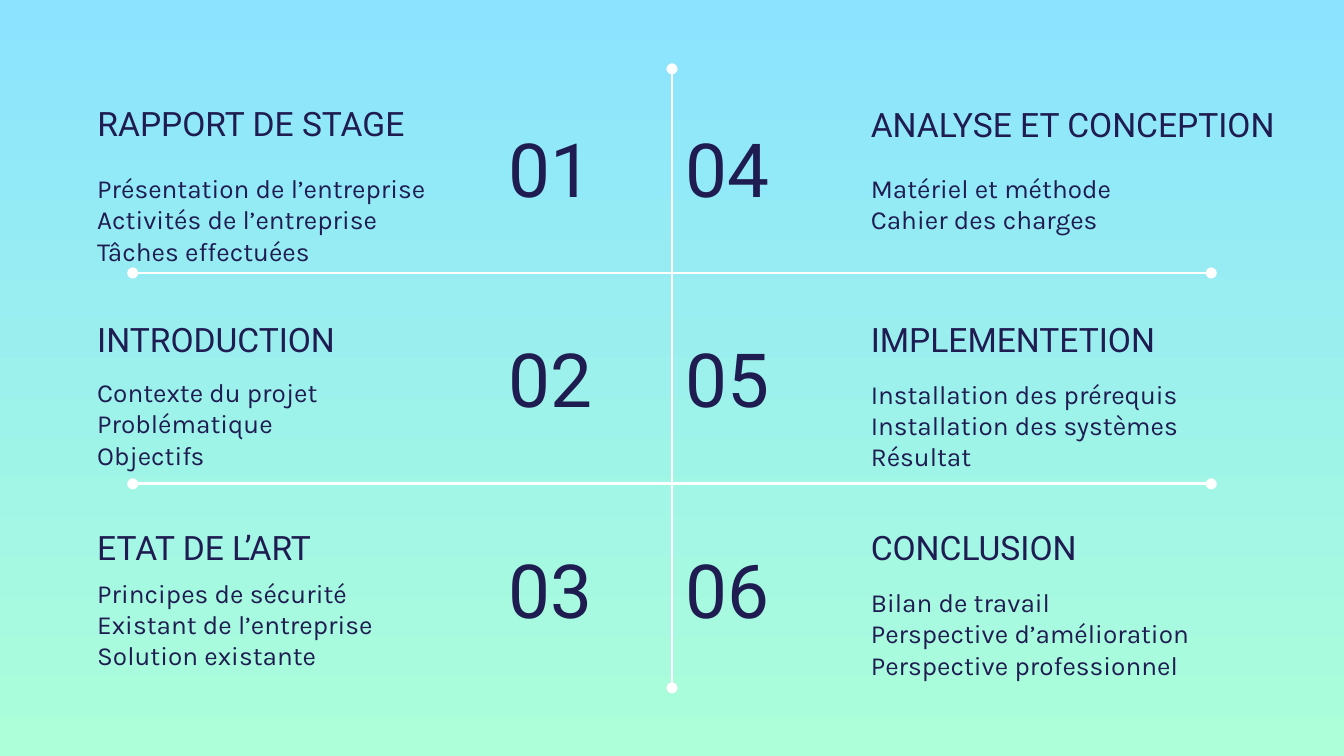
from lxml import etree
from pptx import Presentation
from pptx import util as u
from pptx.dml.color import RGBColor
from pptx.enum import shapes, text
from pptx.oxml import ns

PX = 5715
NAVY = "1F1C51"
WHITE = "FFFFFF"
ROW_TOP, ROW_STEP = 74, 251
NUMBER_WIDTH, TEXT_WIDTH = 208, 477

COLUMNS = [
    {
        "number_left": 590,
        "text_left": 100,
        "sections": [
            ("RAPPORT DE STAGE", TEXT_WIDTH, 33, 115, 138,
             ["Présentation de l’entreprise", "Activités de l’entreprise", "Tâches effectuées"]),
            ("INTRODUCTION", TEXT_WIDTH, 39, 107, 138,
             ["Contexte du projet", "Problématique", "Objectifs"]),
            ("ETAT DE L’ART", TEXT_WIDTH, 35, 95, 147,
             ["Principes de sécurité", "Existant de l’entreprise", "Solution existante"]),
        ],
    },
    {
        "number_left": 800,
        "text_left": 1021,
        "sections": [
            ("ANALYSE ET CONCEPTION", 542, 34, 115, 110,
             ["Matériel et méthode", "Cahier des charges"]),
            ("IMPLEMENTETION", TEXT_WIDTH, 39, 109, 125,
             ["Installation des prérequis", "Installation des systèmes", "Résultat"]),
            ("CONCLUSION", TEXT_WIDTH, 35, 106, 138,
             ["Bilan de travail", "Perspective d’amélioration", "Perspective professionnel"]),
        ],
    },
]


def px(length):
    return u.Emu(length * PX)


def color(value):
    return RGBColor.from_string(value)


def write(holder, box, lines, font_name, size, anchor):
    holder.left, holder.top, holder.width, holder.height = map(px, box)
    frame = holder.text_frame
    frame.text = "\n".join(lines)
    frame.word_wrap = True
    frame.auto_size = text.MSO_AUTO_SIZE.NONE
    frame.vertical_anchor = anchor
    frame.margin_left = frame.margin_right = px(16)
    frame.margin_top = frame.margin_bottom = px(16)
    for paragraph in frame.paragraphs:
        paragraph.alignment = text.PP_ALIGN.LEFT
        paragraph.space_before = u.Pt(0)
        for run in paragraph.runs:
            run.font.name = font_name
            run.font.size = u.Pt(size)
            run.font.color.rgb = color(NAVY)


def add_text(slide, box, *style):
    write(slide.shapes.add_textbox(0, 0, 0, 0), box, *style)


def add_divider(slide, x1, y1, x2, y2):
    divider = slide.shapes.add_connector(
        shapes.MSO_CONNECTOR.STRAIGHT, px(x1), px(y1), px(x2), px(y2))
    divider.line.color.rgb = color(WHITE)
    divider.line.width = u.Pt(1.5)
    outline = divider.line._get_or_add_ln()
    for end in ("a:headEnd", "a:tailEnd"):
        etree.SubElement(outline, ns.qn(end), type="oval")
    etree.SubElement(divider._element.spPr, ns.qn("a:effectLst"))


def add_section(slide, top, column, number, section):
    heading, heading_width, heading_top, topics_top, topics_height, topics = section
    left = column["text_left"]
    add_text(slide, (column["number_left"], top + 56, NUMBER_WIDTH, 138),
             [f"{number:02d}"], "Roboto", 40, text.MSO_ANCHOR.MIDDLE)
    heading_box = (left, top + heading_top, heading_width, 80)
    heading_style = ([heading], "Roboto", 18, text.MSO_ANCHOR.BOTTOM)
    if number == 1:
        write(slide.shapes.title, heading_box, *heading_style)
    else:
        add_text(slide, heading_box, *heading_style)
    add_text(slide, (left, top + topics_top, TEXT_WIDTH, topics_height),
             topics, "Karla", 14, text.MSO_ANCHOR.TOP)


def paint_background(slide):
    fill = slide.background.fill
    fill.gradient()
    fill.gradient_angle = 270
    for stop, position, shade in zip(fill.gradient_stops, (0, 1), ("8BE3FF", "ACFFD9")):
        stop.position = position
        stop.color.rgb = color(shade)


def main():
    deck = Presentation()
    deck.slide_width, deck.slide_height = px(1600), px(900)
    slide = deck.slides.add_slide(deck.slide_layouts[5])
    paint_background(slide)

    add_divider(slide, 800, 82, 800, 819)
    for row in (1, 2):
        y = ROW_TOP + row * ROW_STEP
        add_divider(slide, 158, y, 1442, y)

    number = 1
    for column in COLUMNS:
        for row, section in enumerate(column["sections"]):
            add_section(slide, ROW_TOP + row * ROW_STEP, column, number, section)
            number += 1

    deck.save("out.pptx")


if __name__ == "__main__":
    main()
